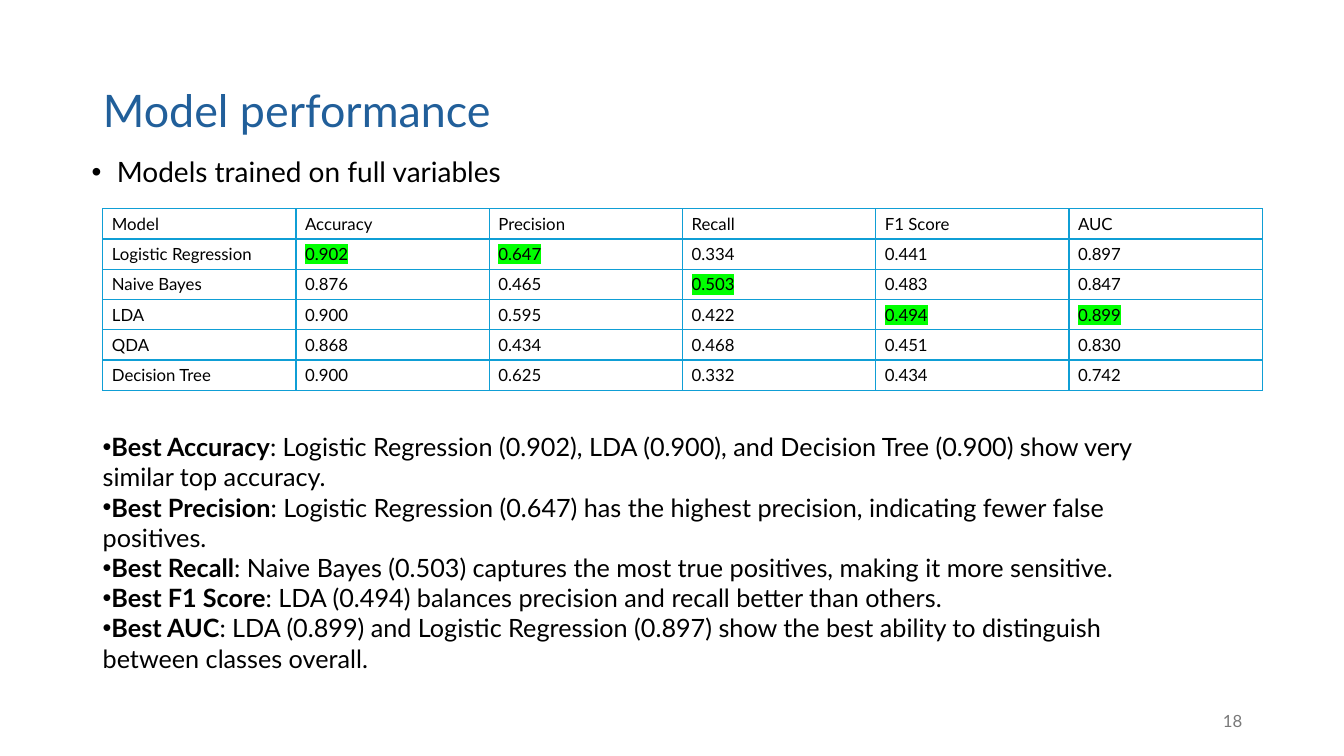
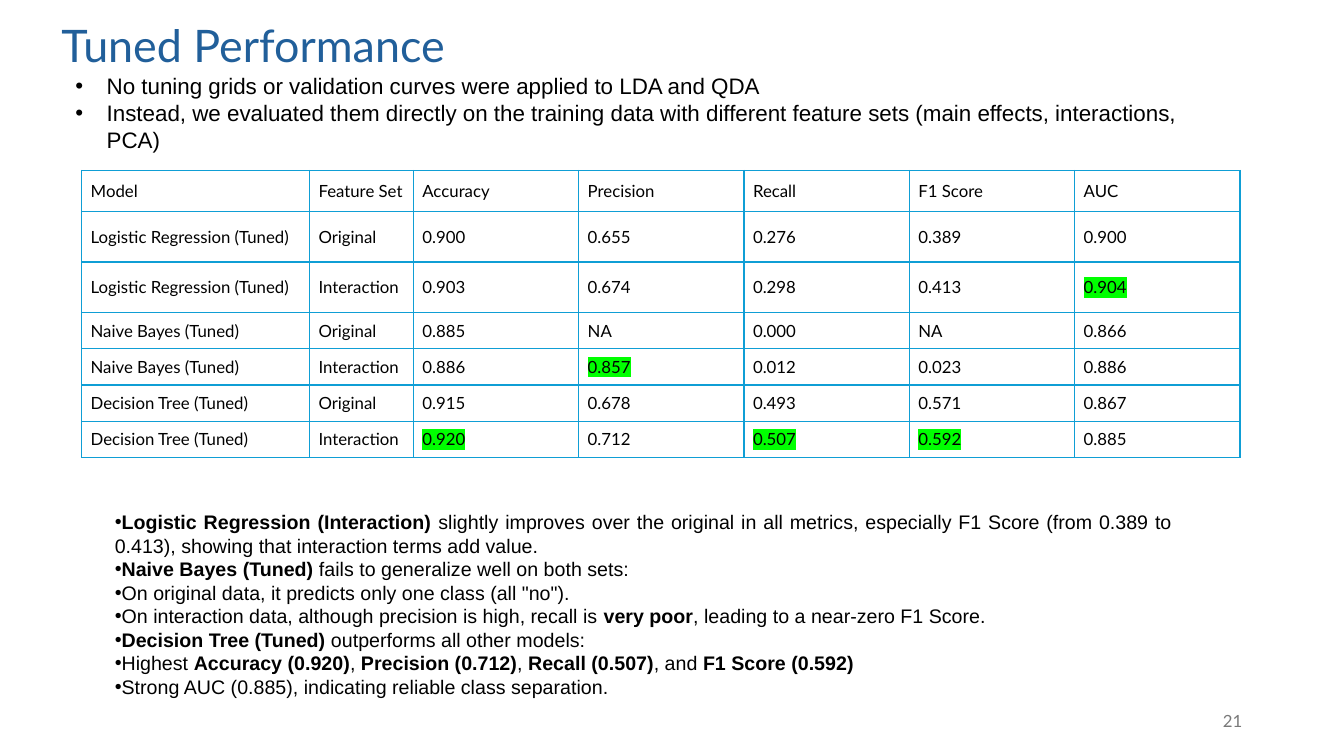
from lxml.etree import SubElement
from pptx import Presentation
from pptx.dml.color import RGBColor
from pptx.enum.text import MSO_ANCHOR, MSO_AUTO_SIZE, PP_ALIGN
from pptx.oxml.ns import qn
from pptx.util import Inches, Pt

HUES = {"title": "215F9A", "text": "000000", "page": "797979",
        "line": "0F9ED5", "best": "00FF00"}

FULL = [
    ["Model", "Accuracy", "Precision", "Recall", "F1 Score", "AUC"],
    ["Logistic Regression", "0.902", "0.647", "0.334", "0.441", "0.897"],
    ["Naive Bayes", "0.876", "0.465", "0.503", "0.483", "0.847"],
    ["LDA", "0.900", "0.595", "0.422", "0.494", "0.899"],
    ["QDA", "0.868", "0.434", "0.468", "0.451", "0.830"],
    ["Decision Tree", "0.900", "0.625", "0.332", "0.434", "0.742"],
]
TUNED = [
    ["Model", "Feature Set", "Accuracy", "Precision", "Recall", "F1 Score", "AUC"],
    ["Logistic Regression (Tuned)", "Original", "0.900", "0.655", "0.276", "0.389", "0.900"],
    ["Logistic Regression (Tuned)", "Interaction", "0.903", "0.674", "0.298", "0.413", "0.904"],
    ["Naive Bayes (Tuned)", "Original", "0.885", "NA", "0.000", "NA", "0.866"],
    ["Naive Bayes (Tuned)", "Interaction", "0.886", "0.857", "0.012", "0.023", "0.886"],
    ["Decision Tree (Tuned)", "Original", "0.915", "0.678", "0.493", "0.571", "0.867"],
    ["Decision Tree (Tuned)", "Interaction", "0.920", "0.712", "0.507", "0.592", "0.885"],
]
FULL_NOTES = [
    "**Best Accuracy**: Logistic Regression (0.902), LDA (0.900), and Decision Tree (0.900) show very similar top accuracy.",
    "**Best Precision**: Logistic Regression (0.647) has the highest precision, indicating fewer false positives.",
    "**Best Recall**: Naive Bayes (0.503) captures the most true positives, making it more sensitive.",
    "**Best F1 Score**: LDA (0.494) balances precision and recall better than others.",
    "**Best AUC**: LDA (0.899) and Logistic Regression (0.897) show the best ability to distinguish between classes overall.",
]
TUNED_LEAD = [
    "No tuning grids or validation curves were applied to LDA and QDA",
    "Instead, we evaluated them directly on the training data with different feature sets (main effects, interactions, PCA)",
]
TUNED_NOTES = [
    "**Logistic Regression (Interaction)** slightly improves over the original in all metrics, especially F1 Score (from 0.389 to 0.413), showing that interaction terms add value.",
    "**Naive Bayes (Tuned)** fails to generalize well on both sets:",
    "On original data, it predicts only one class (all \"no\").",
    "On interaction data, although precision is high, recall is **very poor**, leading to a near-zero F1 Score.",
    "**Decision Tree (Tuned)** outperforms all other models:",
    "Highest **Accuracy (0.920)**, **Precision (0.712)**, **Recall (0.507)**, and **F1 Score (0.592)**",
    "Strong AUC (0.885), indicating reliable class separation.",
]


def add_run(para, text, size, hue="text", face="Lato", bold=False, mark=False):
    run = para.add_run()
    run.text = text
    font = run.font
    font.size, font.bold = Pt(size), bold
    font.color.rgb = RGBColor.from_string(HUES[hue])
    if mark:
        glow = SubElement(run._r.get_or_add_rPr(), qn("a:highlight"))
        SubElement(glow, qn("a:srgbClr"), val=HUES["best"])
    font.name = face


def add_box(slide, area):
    frame = slide.shapes.add_textbox(*map(Inches, area)).text_frame
    frame.word_wrap = True
    return frame


def add_title(slide, text, left, top):
    title = slide.shapes.title
    title.left, title.top = Inches(left), Inches(top)
    title.width, title.height = Inches(11.5), Inches(1.45)
    frame = title.text_frame
    frame.auto_size = MSO_AUTO_SIZE.NONE
    frame.vertical_anchor = MSO_ANCHOR.MIDDLE
    para = frame.paragraphs[0]
    para.alignment, para.line_spacing = PP_ALIGN.LEFT, 0.9
    add_run(para, text, 32, "title")


def add_page(slide, number):
    frame = add_box(slide, (9.42, 6.95, 3, 0.4))
    frame.vertical_anchor = MSO_ANCHOR.MIDDLE
    para = frame.paragraphs[0]
    para.alignment = PP_ALIGN.RIGHT
    add_run(para, str(number), 12, "page")


def add_list(slide, area, items, size, face="Lato", indent=0,
             align=PP_ALIGN.LEFT, space=1.0):
    frame = add_box(slide, area)
    for i, item in enumerate(items):
        para = frame.add_paragraph() if i else frame.paragraphs[0]
        props = para._p.get_or_add_pPr()
        props.set("marL", str(Inches(indent)))
        props.set("indent", str(-Inches(indent)))
        SubElement(props, qn("a:buFont"), typeface="Arial")
        SubElement(props, qn("a:buChar"), char="•")
        para.alignment, para.line_spacing = align, space
        for j, part in enumerate(item.split("**")):
            if part:
                add_run(para, part, size, face=face, bold=j % 2 == 1)


def add_edges(cell):
    props = cell._tc.get_or_add_tcPr()
    for side in ("lnL", "lnR", "lnT", "lnB"):
        edge = SubElement(props, qn("a:" + side), w=str(Pt(1)))
        fill = SubElement(edge, qn("a:solidFill"))
        SubElement(fill, qn("a:srgbClr"), val=HUES["line"])


def add_grid(slide, left, top, data, widths, heights):
    area = map(Inches, (left, top, sum(widths), sum(heights)))
    grid = slide.shapes.add_table(len(data), len(widths), *area).table
    grid.first_row = grid.horz_banding = False
    for col, width in zip(grid.columns, widths):
        col.width = Inches(width)
    for row, height in zip(grid.rows, heights):
        row.height = Inches(height)
    bests = [max((t for t in col if t.startswith("0.")), default=None)
             for col in zip(*data)]
    for r, texts in enumerate(data):
        for c, text in enumerate(texts):
            cell = grid.cell(r, c)
            add_edges(cell)
            cell.fill.background()
            cell.vertical_anchor = MSO_ANCHOR.MIDDLE
            cell.margin_left = cell.margin_right = Inches(0.09)
            add_run(cell.text_frame.paragraphs[0], text, 12,
                    mark=text == bests[c])


def add_slide(deck, title, left, top, number):
    slide = deck.slides.add_slide(deck.slide_layouts[5])
    add_title(slide, title, left, top)
    add_page(slide, number)
    return slide


def main():
    deck = Presentation()
    deck.slide_width, deck.slide_height = Inches(13.33), Inches(7.5)

    slide = add_slide(deck, "Model performance", 0.92, 0.4, 18)
    add_list(slide, (0.81, 1.52, 11.61, 0.45),
             ["Models trained on full variables"], 20, indent=0.25, space=0.9)
    add_list(slide, (0.92, 4.23, 10.98, 2.52), FULL_NOTES, 18)
    add_grid(slide, 1.02, 2.07, FULL, [11.5 / 6] * 6, [0.3] * 6)

    slide = add_slide(deck, "Tuned Performance", 0.51, -0.25, 21)
    add_list(slide, (0.65, 0.67, 11.65, 0.91), TUNED_LEAD, 16, "Arial", 0.31)
    add_list(slide, (1.04, 5.01, 10.69, 1.99), TUNED_NOTES, 14, "Arial",
             align=PP_ALIGN.JUSTIFY)
    add_grid(slide, 0.81, 1.69, TUNED, [2.26, 1.03] + [1.64] * 5,
             [0.41] + [0.5] * 2 + [0.36] * 4)

    deck.save("out.pptx")


if __name__ == "__main__":
    main()
